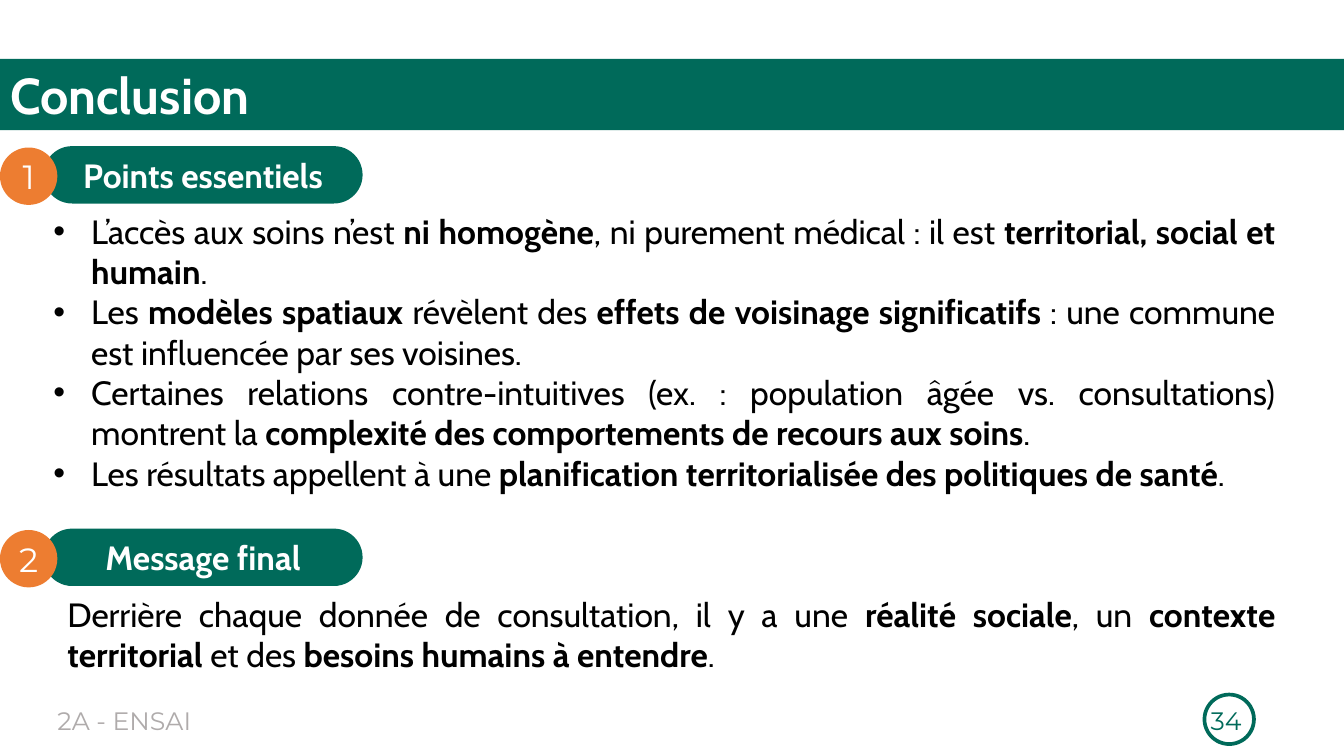
from lxml import etree
from pptx import Presentation
from pptx.dml.color import RGBColor
from pptx.enum.shapes import MSO_SHAPE as Shape
from pptx.enum.text import MSO_ANCHOR as Anchor, MSO_AUTO_SIZE as AutoSize, PP_ALIGN as Align
from pptx.oxml.ns import qn
from pptx.util import Pt

GREEN, ORANGE, GREY = "006A5A", "ED7D31", "AFABAB"
WHITE, BLACK = "FFFFFF", "000000"
KEY_POINTS = [
    "L’accès aux soins n’est **ni homogène**, ni purement médical : il est "
    "**territorial, social et humain**.",
    "Les **modèles spatiaux** révèlent des **effets de voisinage significatifs** : "
    "une commune est influencée par ses voisines.",
    "Certaines relations contre-intuitives (ex. : population âgée vs. consultations) "
    "montrent la **complexité des comportements de recours aux soins**.",
    "Les résultats appellent à une "
    "**planification territorialisée des politiques de santé**.",
]
FINAL_MESSAGE = [
    "Derrière chaque donnée de consultation, il y a une **réalité sociale**, un "
    "**contexte territorial** et des **besoins humains à entendre**."
]


def write(frame, texts, size, font, color, align):
    """Write one paragraph per text; words between ** are bold."""
    frame.word_wrap = True
    frame.auto_size = AutoSize.NONE
    for index, text in enumerate(texts):
        paragraph = frame.add_paragraph() if index else frame.paragraphs[0]
        paragraph.alignment = align
        for part, words in enumerate(text.split("**")):
            if words:
                run = paragraph.add_run()
                run.text = words
                run.font.size = Pt(size)
                run.font.name = font
                run.font.bold = part % 2 == 1
                run.font.color.rgb = RGBColor.from_string(color)


def add_filled(shapes, kind, left, top, width, height, color):
    shape = shapes.add_shape(kind, Pt(left), Pt(top), Pt(width), Pt(height))
    shape.shadow.inherit = False
    shape.fill.solid()
    shape.fill.fore_color.rgb = RGBColor.from_string(color)
    shape.line.fill.background()
    return shape


presentation = Presentation()
presentation.slide_width, presentation.slide_height = Pt(960), Pt(540)
slide = presentation.slides.add_slide(presentation.slide_layouts[5])

# Title band
title = slide.shapes.title
title.left, title.top, title.width, title.height = Pt(0), Pt(42), Pt(960), Pt(51)
title.fill.solid()
title.fill.fore_color.rgb = RGBColor.from_string(GREEN)
title.text_frame.vertical_anchor = Anchor.TOP
write(title.text_frame, ["**Conclusion**"], 36, "Cabin", WHITE, Align.LEFT)

# Page number ring
ring = add_filled(slide.shapes, Shape.DONUT, 859, 494.8, 38, 38, GREEN)
ring.adjustments[0] = 0.07

# Body and footer texts
text_boxes = [
    (31, 147, 887, 211, KEY_POINTS, 24, "Cabin", BLACK, Align.JUSTIFY),
    (41, 420.5, 877, 65.5, FINAL_MESSAGE, 24, "Cabin", BLACK, Align.JUSTIFY),
    (34, 500.4, 164, 29, ["2A - ENSAI"], 18, "Montserrat", GREY, Align.LEFT),
    (678, 500.4, 216, 29, ["34"], 18, "Montserrat", GREEN, Align.RIGHT),
]
for left, top, width, height, texts, size, font, color, align in text_boxes:
    box = slide.shapes.add_textbox(Pt(left), Pt(top), Pt(width), Pt(height))
    write(box.text_frame, texts, size, font, color, align)
    if texts is KEY_POINTS:
        for paragraph in box.text_frame.paragraphs:
            properties = paragraph._p.get_or_add_pPr()
            properties.set("marL", str(Pt(27)))
            properties.set("indent", str(-Pt(27)))
            etree.SubElement(properties, qn("a:buFont")).set("typeface", "Arial")
            etree.SubElement(properties, qn("a:buChar")).set("char", "•")

# Numbered section headings
for number, (heading, top) in enumerate([("Points essentiels", 104.4), ("Message final", 377.6)], 1):
    group = slide.shapes.add_group_shape()
    pill = add_filled(group.shapes, Shape.ROUNDED_RECTANGLE, 31, top, 228, 41, GREEN)
    pill.adjustments[0] = 0.5
    badge = add_filled(group.shapes, Shape.OVAL, 0, top + 1, 41, 41, ORANGE)
    for shape, text, font in [(pill, f"**{heading}**", "Cabin"), (badge, str(number), "Montserrat")]:
        shape.text_frame.vertical_anchor = Anchor.MIDDLE
        write(shape.text_frame, [text], 24, font, WHITE, Align.CENTER)

presentation.save("out.pptx")
